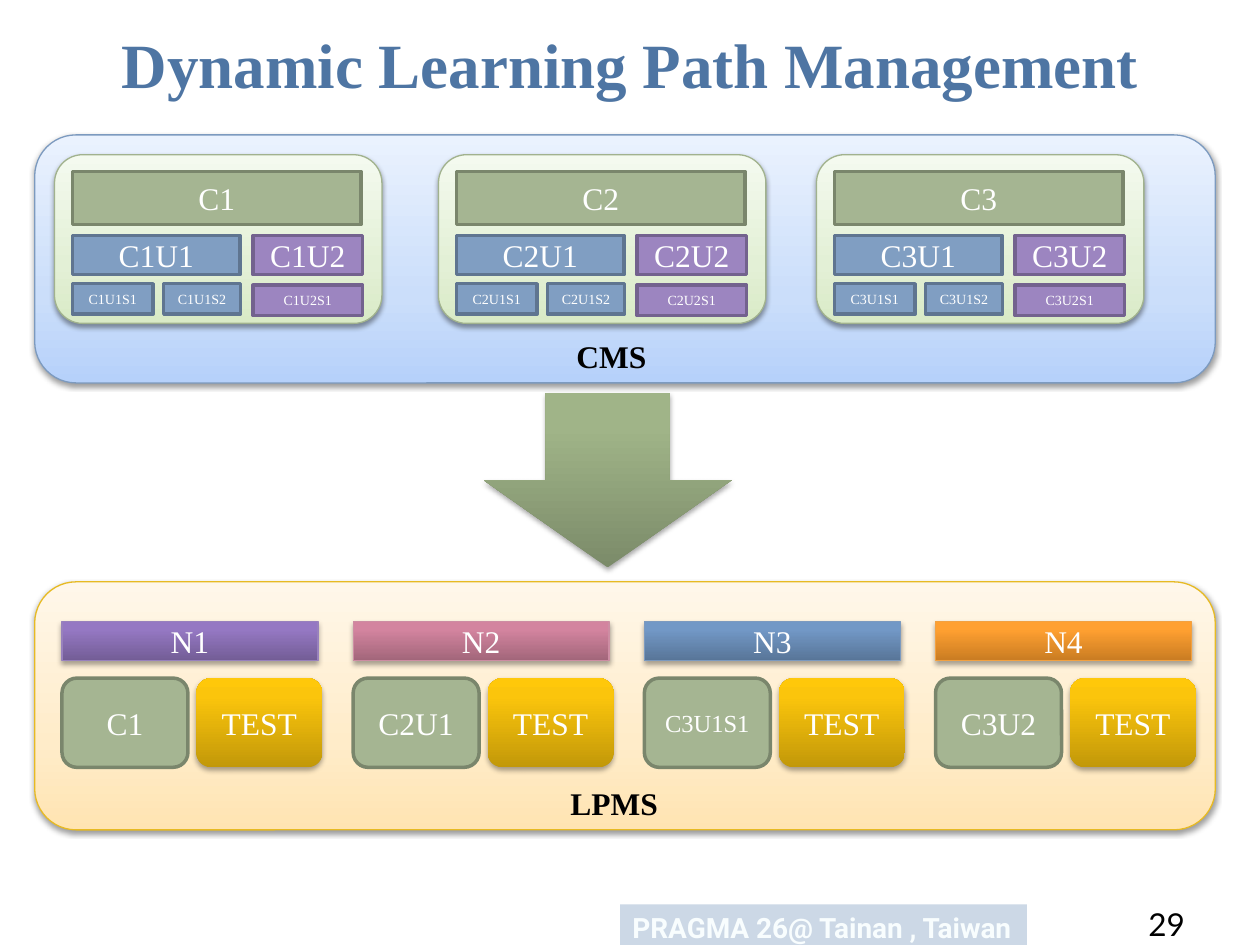
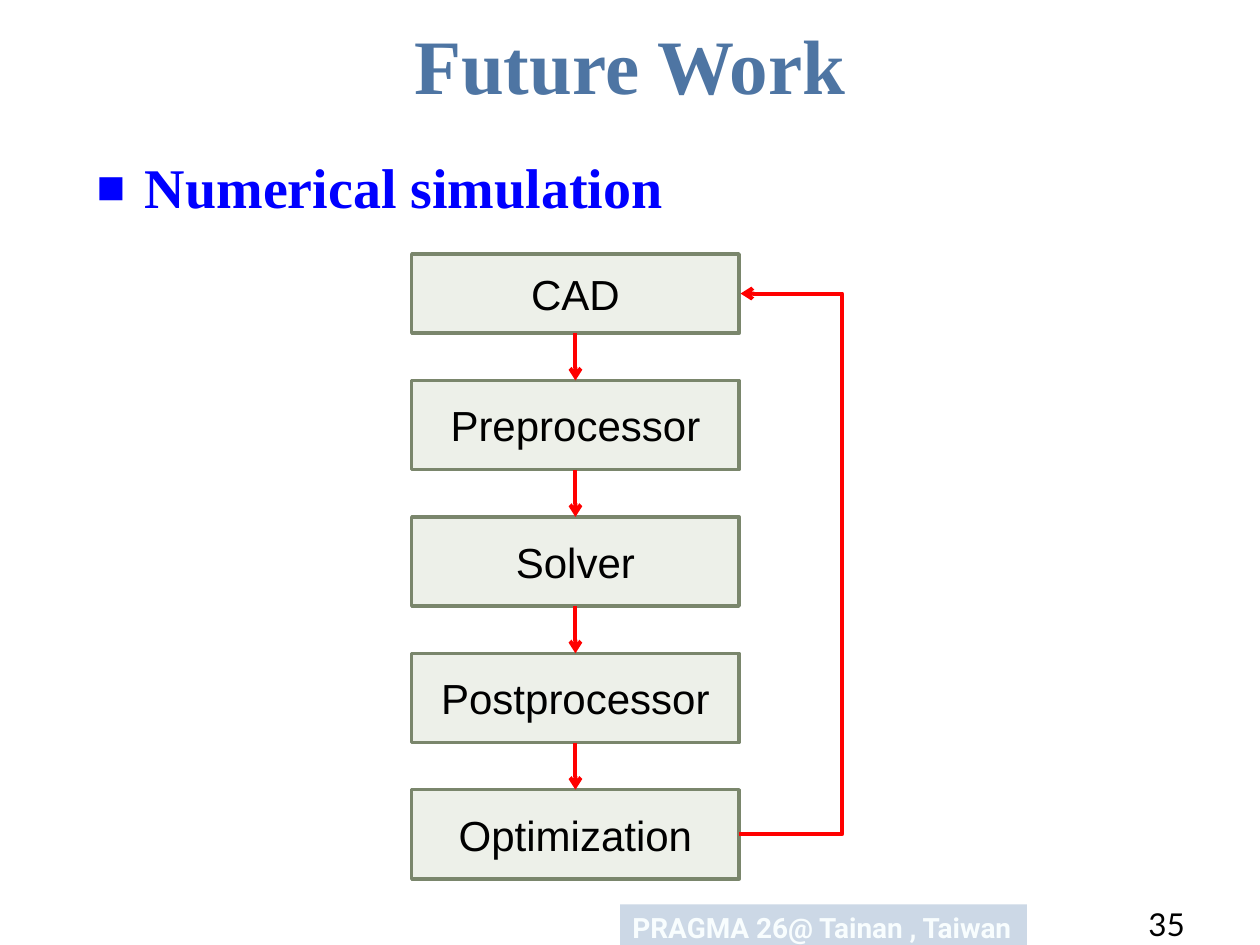
from copy import deepcopy
from dataclasses import dataclass

from lxml import etree
from pptx import Presentation, util as u
from pptx.dml.color import RGBColor
from pptx.enum import shapes, text
from pptx.oxml.ns import qn

SERIF = "Times New Roman"
WHITE, BLACK, RED, BLUE = "FFFFFF", "000000", "FF0000", "0000FF"
TITLE_COLOR = "4E75A3"
RECT = shapes.MSO_SHAPE.RECTANGLE
ROUND = shapes.MSO_SHAPE.ROUNDED_RECTANGLE
DOWN = shapes.MSO_SHAPE.DOWN_ARROW
CENTER, LEFT = text.PP_ALIGN.CENTER, text.PP_ALIGN.LEFT
MIDDLE, TOP = text.MSO_ANCHOR.MIDDLE, text.MSO_ANCHOR.TOP


@dataclass(frozen=True)
class Font:
    """Typeface, size in points, colour and weight."""
    name: str = SERIF
    size: int = 18
    color: str = WHITE
    bold: bool = False


@dataclass(frozen=True)
class Style:
    """Fill, outline and shadow; several fill colours make a gradient from the bottom up."""
    fill: tuple[str, ...]
    line: str = ""
    width: float = 2
    middle: float = 0
    shadow: int = 0
    distance: float = 0
    alpha: int = 100


@dataclass(frozen=True)
class Box:
    """Place and size in centimetres."""
    x: float
    y: float
    w: float
    h: float

    def emu(self) -> list[int]:
        """Return the place and size as lengths."""
        return [u.Cm(v) for v in (self.x, self.y, self.w, self.h)]


def panel(line: str, *fill: str) -> Style:
    """Return a pale gradient style."""
    return Style(fill, line, 0.75, 0.35, 38, 1.6)


def glossy(line: str, *fill: str) -> Style:
    """Return a strong gradient style."""
    return Style(fill, line, 0.75, 0.8, 35, 1.8)


CMS = panel("7C9ABF", "B6D1FA", "CBDEFA", "EAF2FE")
LPMS = panel("E7BA23", "FFE4B2", "FFECC9", "FFF7EA")
CARD = panel("A1B28E", "D9EAC6", "E3F0D6", "F4FAEF")
TEST = glossy("", "C29809", "FBC50C", "FFC80A")
ARROW = glossy("", "7B8B69", "A0B488", "A1B688")
COURSE = Style(("A5B592",), "7A866C")
UNIT_1 = Style(("809EC2",), "5F7590")
UNIT_2 = Style(("9C85C0",), "73628E")
STEP = Style(("EDF0E9",), "7A866C")
FOOTER = Style(("B3C5DA",), alpha=67)

CARD_XS = (1.1, 8.84, 16.46)
CARD_PARTS = (
    ("", Box(0.36, 0.34, 5.82, 1.07), COURSE, 18),
    ("U1", Box(0.36, 1.63, 3.38, 0.79), UNIT_1, 18),
    ("U2", Box(4, 1.63, 2.21, 0.79), UNIT_2, 18),
    ("U1S1", Box(0.36, 2.6, 1.63, 0.61), UNIT_1, 8),
    ("U1S2", Box(2.2, 2.6, 1.55, 0.61), UNIT_1, 8),
    ("U2S1", Box(4, 2.63, 2.21, 0.61), UNIT_2, 8),
)
NODES = (
    ("N1", "C1", 18, glossy("9881BD", "735D96", "9578C3", "9677C5")),
    ("N2", "C2U1", 18, glossy("CD8DA3", "A2667A", "D3849F", "D5849F")),
    ("N3", "C3U1S1", 14, glossy("7C9ABF", "587598", "7298C6", "7199C8")),
    ("N4", "C3U2", 18, glossy("F2A141", "C97C22", "FFA031", "FFA133")),
)
STEPS = ("CAD", "Preprocessor", "Solver", "Postprocessor", "Optimization")


def rgb(value: str) -> RGBColor:
    """Turn a hex string into a colour."""
    return RGBColor.from_string(value)


def add_xml(parent, tag: str, **attrs):
    """Append a drawing element with attributes."""
    return etree.SubElement(parent, qn(f"a:{tag}"), {k: str(v) for k, v in attrs.items()})


def write(sp, words: str, font: Font, align=CENTER, anchor=MIDDLE, wrap: bool = True):
    """Fill a shape with one formatted paragraph and return it."""
    tf = sp.text_frame
    tf.word_wrap = wrap
    tf.vertical_anchor = anchor
    tf.text = words
    p = tf.paragraphs[0]
    p.alignment = align
    r = p.runs[0]
    r.font.name, r.font.size, r.font.bold = font.name, u.Pt(font.size), font.bold
    r.font.color.rgb = rgb(font.color)
    return p


def add_text(slide, box: Box, words: str, font: Font, align=LEFT, anchor=TOP, wrap: bool = True):
    """Add a text box and return its paragraph."""
    return write(slide.shapes.add_textbox(*box.emu()), words, font, align, anchor, wrap)


def paint(sp, style: Style) -> None:
    """Apply fill, outline and shadow to a shape."""
    spPr = sp._element.spPr
    if len(style.fill) > 1:
        sp.fill.gradient()
        sp.fill.gradient_angle = 90
        stops = spPr.find(qn("a:gradFill")).find(qn("a:gsLst"))
        stops.append(deepcopy(stops[-1]))
        for stop, color, place in zip(sp.fill.gradient_stops, style.fill, (0, style.middle, 1)):
            stop.color.rgb = rgb(color)
            stop.position = place
    else:
        sp.fill.solid()
        sp.fill.fore_color.rgb = rgb(style.fill[0])
        if style.alpha < 100:
            add_xml(spPr.find(qn("a:solidFill"))[0], "alpha", val=style.alpha * 1000)
    if style.line:
        sp.line.color.rgb = rgb(style.line)
        sp.line.width = u.Pt(style.width)
    else:
        sp.line.fill.background()
    sp.shadow.inherit = False
    if style.shadow:
        shadow = add_xml(spPr.find(qn("a:effectLst")), "outerShdw", blurRad=u.Pt(3.1),
                         dist=u.Pt(style.distance), dir=5400000, rotWithShape=0)
        add_xml(add_xml(shadow, "srgbClr", val=BLACK), "alpha", val=style.shadow * 1000)


def add_box(slide, kind, box: Box, style: Style, words: str = "", font: Font = Font()):
    """Add a painted shape with an optional centred label."""
    sp = slide.shapes.add_shape(kind, *box.emu())
    paint(sp, style)
    if words:
        write(sp, words, font)
    return sp


def add_arrow(slide, kind, x1: float, y1: float, x2: float, y2: float):
    """Add a red connector with an arrowhead at its end."""
    cx = slide.shapes.add_connector(kind, *(u.Cm(v) for v in (x1, y1, x2, y2)))
    cx.line.color.rgb = rgb(RED)
    cx.line.width = u.Pt(2.25)
    spPr = cx._element.spPr
    add_xml(spPr.find(qn("a:ln")), "tailEnd", type="arrow")
    add_xml(spPr, "effectLst")
    return cx


def new_slide(prs, title: str, size: int, number: str):
    """Add a slide with the shared title, footer band and page number."""
    slide = prs.slides.add_slide(prs.slide_layouts[6])
    band = add_box(slide, RECT, Box(12.5, 18.23, 8.2, 0.82), FOOTER)
    write(band, "PRAGMA 26@ Tainan , Taiwan", Font("Roboto", 16, "F8FDFE", True), LEFT, TOP, False)
    add_text(slide, Box(1.27, 0.32, 22.86, 1.93), title,
             Font(SERIF, size, TITLE_COLOR, True), CENTER, MIDDLE)
    add_text(slide, Box(22.9, 18.12, 2.3, 0.9), number, Font("Lato", 18, BLACK))
    return slide


def learning_path_slide(prs) -> None:
    """Draw the course cards above the learning path nodes."""
    slide = new_slide(prs, "Dynamic Learning Path Management", 36, "29")
    caption = Font(color=BLACK, bold=True)
    for name, style, y, x in (("CMS", CMS, 2.72, 11.37), ("LPMS", LPMS, 11.73, 11.25)):
        add_box(slide, ROUND, Box(0.7, y, 23.8, 5), style)
        add_text(slide, Box(x, y + 3.95, 3, 1.02), name, caption, wrap=True)
    for number, x in enumerate(CARD_XS, 1):
        card = Box(x, 3.12, 6.6, 3.4)
        add_box(slide, ROUND, card, CARD)
        for suffix, part, style, size in CARD_PARTS:
            place = Box(card.x + part.x, card.y + part.y, part.w, part.h)
            add_box(slide, RECT, place, style, f"C{number}{suffix}", Font(size=size))
    add_box(slide, DOWN, Box(9.75, 7.92, 5, 3.52), ARROW)
    for i, (node, content, size, style) in enumerate(NODES):
        x = 1.25 + 5.87 * i
        add_box(slide, RECT, Box(x, 12.53, 5.16, 0.79), style, node)
        add_box(slide, ROUND, Box(x, 13.67, 2.54, 1.8), COURSE, content, Font(size=size))
        add_box(slide, ROUND, Box(x + 2.71, 13.67, 2.54, 1.8), TEST, "TEST")


def future_work_slide(prs) -> None:
    """Draw the simulation loop under its bullet."""
    slide = new_slide(prs, "Future Work", 44, "35")
    p = add_text(slide, Box(1.7, 2.96, 21.8, 1.6), "Numerical simulation",
                 Font(SERIF, 32, BLUE, True))
    pPr = p._p.get_or_add_pPr()
    pPr.set("marL", str(u.Cm(0.97)))
    pPr.set("indent", str(u.Cm(-0.97)))
    add_xml(pPr, "buSzPct", val=85000)
    add_xml(pPr, "buFont", typeface="Arial")
    add_xml(pPr, "buChar", char="■")

    left, width, pitch = 8.3, 6.6, 2.75
    right, center = left + width, left + width / 2
    places = [Box(left, 5.12, width, 1.6)]
    places += [Box(left, 7.67 + pitch * i, width, 1.8) for i in range(len(STEPS) - 1)]
    steps = [add_box(slide, RECT, place, STEP, name, Font("Arial", 24, BLACK))
             for name, place in zip(STEPS, places)]
    for i, (upper, lower) in enumerate(zip(places, places[1:])):
        cx = add_arrow(slide, shapes.MSO_CONNECTOR.STRAIGHT,
                       center, upper.y + upper.h, center, lower.y)
        cx.begin_connect(steps[i], 2)
        cx.end_connect(steps[i + 1], 0)

    first, last, gap, reach = places[0], places[-1], 0.03, 2.08
    loop = add_arrow(slide, shapes.MSO_CONNECTOR.ELBOW, right, last.y + last.h / 2,
                     right + gap, first.y + first.h / 2)
    geometry = loop._element.spPr.find(qn("a:prstGeom"))
    add_xml(geometry.find(qn("a:avLst")), "gd", name="adj1",
            fmla=f"val {round(reach / gap * 100000)}")


def main() -> None:
    """Build and save both slides."""
    prs = Presentation()
    prs.slide_width, prs.slide_height = u.Cm(25.4), u.Cm(19.05)
    learning_path_slide(prs)
    future_work_slide(prs)
    prs.save("out.pptx")


if __name__ == "__main__":
    main()
